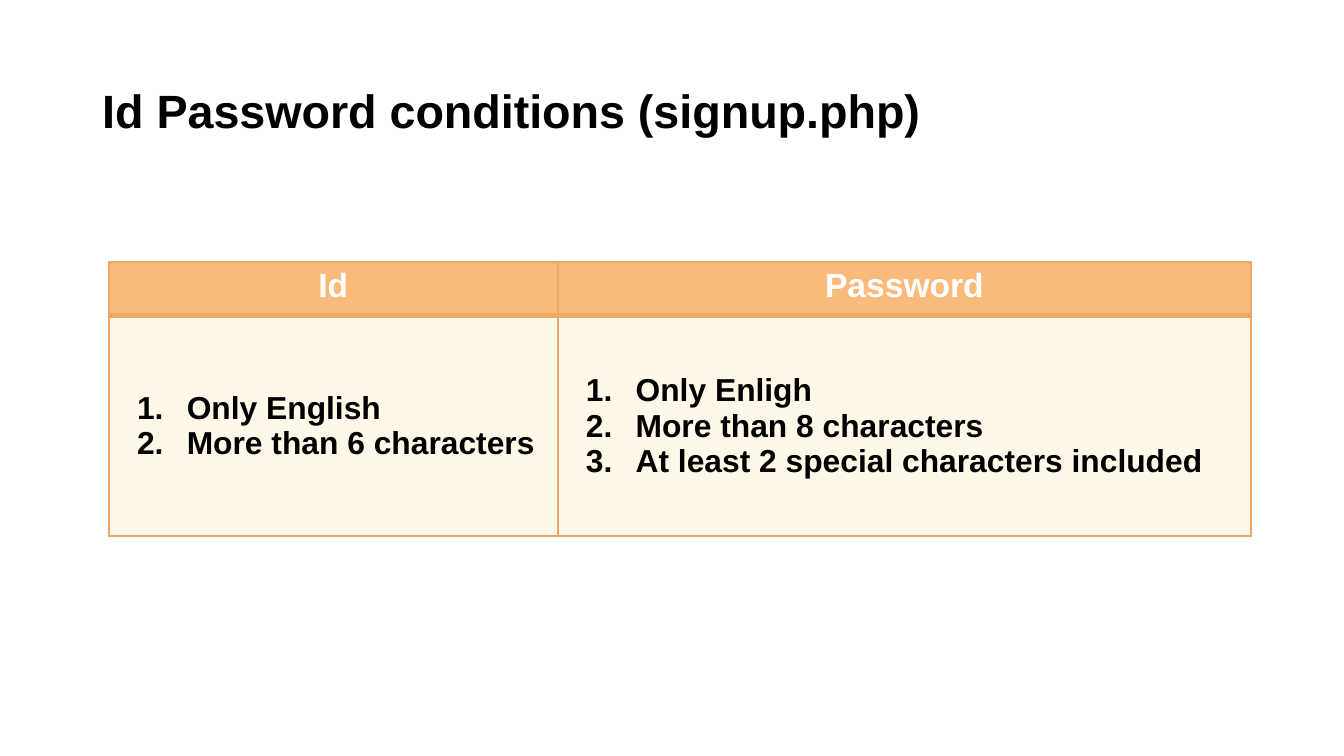
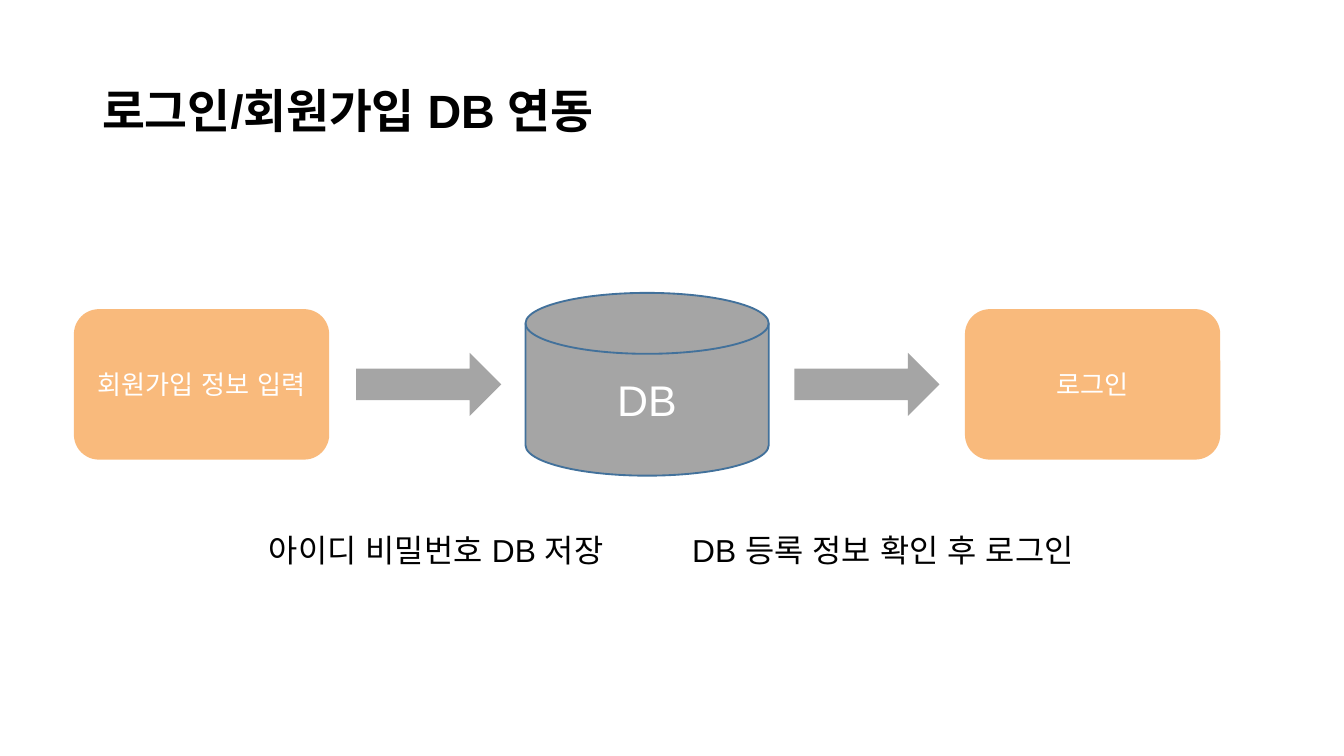
"""Build two slides: the sign-up conditions table and the login database flow."""
from lxml import etree
from pptx import Presentation
from pptx import util as u
from pptx.dml.color import RGBColor
from pptx.enum import shapes, text
from pptx.oxml import parse_xml
from pptx.oxml.ns import nsdecls, qn

ORANGE = RGBColor(0xF9, 0xBA, 0x7C)
BORDER = RGBColor(0xEC, 0xA9, 0x66)
CREAM = RGBColor(0xFF, 0xF7, 0xE8)
GRAY = RGBColor(0xA5, 0xA5, 0xA5)
BLUE = RGBColor(0x42, 0x71, 0x9B)
BLACK = RGBColor(0, 0, 0)
WHITE = RGBColor(0xFF, 0xFF, 0xFF)
FONT = "Arial"
LEFT, CENTER = text.PP_ALIGN.LEFT, text.PP_ALIGN.CENTER
TOP, MIDDLE = text.MSO_ANCHOR.TOP, text.MSO_ANCHOR.MIDDLE


def write(tf, lines, size, color, bold=False, align=LEFT, numbered=False):
    """Fill a text frame with evenly styled paragraphs."""
    tf.word_wrap = True
    tf.text = "\n".join(lines)
    for p in tf.paragraphs:
        p.alignment = align
        if numbered:
            pPr = p._p.get_or_add_pPr()
            pPr.set("marL", str(u.Inches(0.5)))
            pPr.set("indent", str(-u.Inches(0.37)))
            clr = etree.SubElement(pPr, qn("a:buClr"))
            etree.SubElement(clr, qn("a:srgbClr")).set("val", str(color))
            etree.SubElement(pPr, qn("a:buFont")).set("typeface", "+mj-lt")
            etree.SubElement(pPr, qn("a:buAutoNum")).set("type", "arabicPeriod")
        for r in p.runs:
            r.font.name, r.font.size, r.font.bold = FONT, u.Pt(size), bold
            r.font.color.rgb = color
            etree.SubElement(r.font._element, qn("a:ea")).set("typeface", FONT)


def add_text(s, x, y, w, h, line, size, bold=False):
    """Add a black text box with narrow margins."""
    tf = s.shapes.add_textbox(*map(u.Inches, (x, y, w, h))).text_frame
    tf.margin_left = tf.margin_right = u.Inches(0.07)
    tf.margin_top = tf.margin_bottom = u.Inches(0.04)
    write(tf, [line], size, BLACK, bold)
    return tf


prs = Presentation()
prs.slide_width = u.Inches(10)
prs.slide_height = prs.slide_width * 9 // 16

slides = []
for title in ("Id Password conditions (signup.php)", "로그인/회원가입 DB 연동"):
    s = prs.slides.add_slide(prs.slide_layouts[6])
    tf = add_text(s, 0.69, 0.3, 8.62, 1.09, title, 25, True)
    tf.vertical_anchor = MIDDLE
    tf.paragraphs[0].line_spacing = 0.9
    slides.append(s)
conditions, flow = slides

columns = [
    ("Id", 3.34, ["Only English", "More than 6 characters"]),
    ("Password", 5.16, ["Only Enligh", "More than 8 characters",
                        "At least 2 special characters included"]),
]
table = conditions.shapes.add_table(
    2, 2, *map(u.Inches, (0.81, 1.95, 8.5, 2.04))).table
for row, height in zip(table.rows, (0.4, 1.64)):
    row.height = u.Inches(height)
for c, (head, width, rules) in enumerate(columns):
    table.columns[c].width = u.Inches(width)
    header, body = table.cell(0, c), table.cell(1, c)
    write(header.text_frame, [head], 18, WHITE, True, CENTER)
    write(body.text_frame, rules, 17, BLACK, True, numbered=True)
    for cell, color, anchor, thick in ((header, ORANGE, TOP, "B"),
                                       (body, CREAM, MIDDLE, "T")):
        cell.fill.solid()
        cell.fill.fore_color.rgb = color
        cell.vertical_anchor = anchor
        cell.margin_left = cell.margin_right = u.Inches(0.08)
        cell.margin_top = cell.margin_bottom = u.Inches(0.04)
        for i, side in enumerate("LRTB"):
            line = parse_xml(
                f'<a:ln{side} {nsdecls("a")} w="{u.Pt(3 if side == thick else 1)}">'
                f'<a:solidFill><a:srgbClr val="{BORDER}"/></a:solidFill></a:ln{side}>')
            cell._tc.get_or_add_tcPr().insert(i, line)

BOX, DISK, ARROW = (shapes.MSO_SHAPE.ROUNDED_RECTANGLE,
                    shapes.MSO_SHAPE.FLOWCHART_MAGNETIC_DISK,
                    shapes.MSO_SHAPE.RIGHT_ARROW)
MID_Y = 2.86
steps = [
    (BOX, 0.55, 1.9, 1.12, ORANGE, "회원가입 정보 입력", 14),
    (ARROW, 2.65, 1.08, 0.47, GRAY, "", 14),
    (DISK, 3.91, 1.81, 1.36, GRAY, "DB", 23),
    (ARROW, 5.91, 1.08, 0.47, GRAY, "", 14),
    (BOX, 7.18, 1.9, 1.12, ORANGE, "로그인", 14),
]
for kind, x, w, h, color, label, size in steps:
    sp = flow.shapes.add_shape(kind, *map(u.Inches, (x, MID_Y - h / 2, w, h)))
    sp.shadow.inherit = False
    sp.fill.solid()
    sp.fill.fore_color.rgb = color
    if kind == DISK:
        sp.line.color.rgb, sp.line.width = BLUE, u.Pt(1)
    else:
        sp.line.fill.background()
    if label:
        tf = sp.text_frame
        tf.margin_left = tf.margin_right = u.Inches(0.07)
        tf.margin_top = tf.margin_bottom = u.Inches(0.04)
        tf.vertical_anchor = MIDDLE
        write(tf, [label], size, WHITE, align=CENTER)

for x, w, caption in ((1.93, 2.79, "아이디 비밀번호 DB 저장"),
                      (5.08, 3.17, "DB 등록 정보 확인 후 로그인")):
    tf = add_text(flow, x, 3.91, w, 0.36, caption, 17)
    tf.auto_size = text.MSO_AUTO_SIZE.SHAPE_TO_FIT_TEXT

prs.save("out.pptx")
